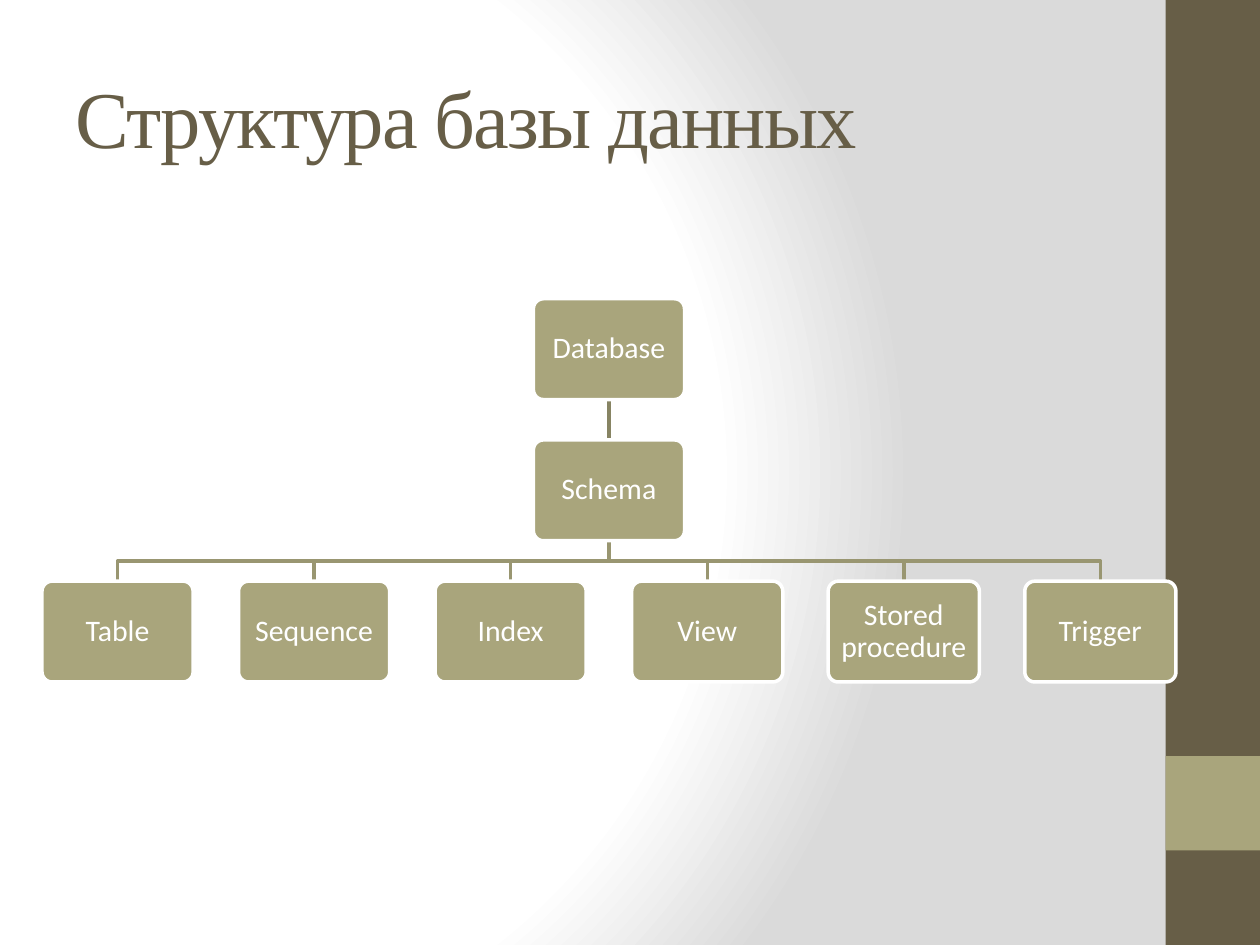
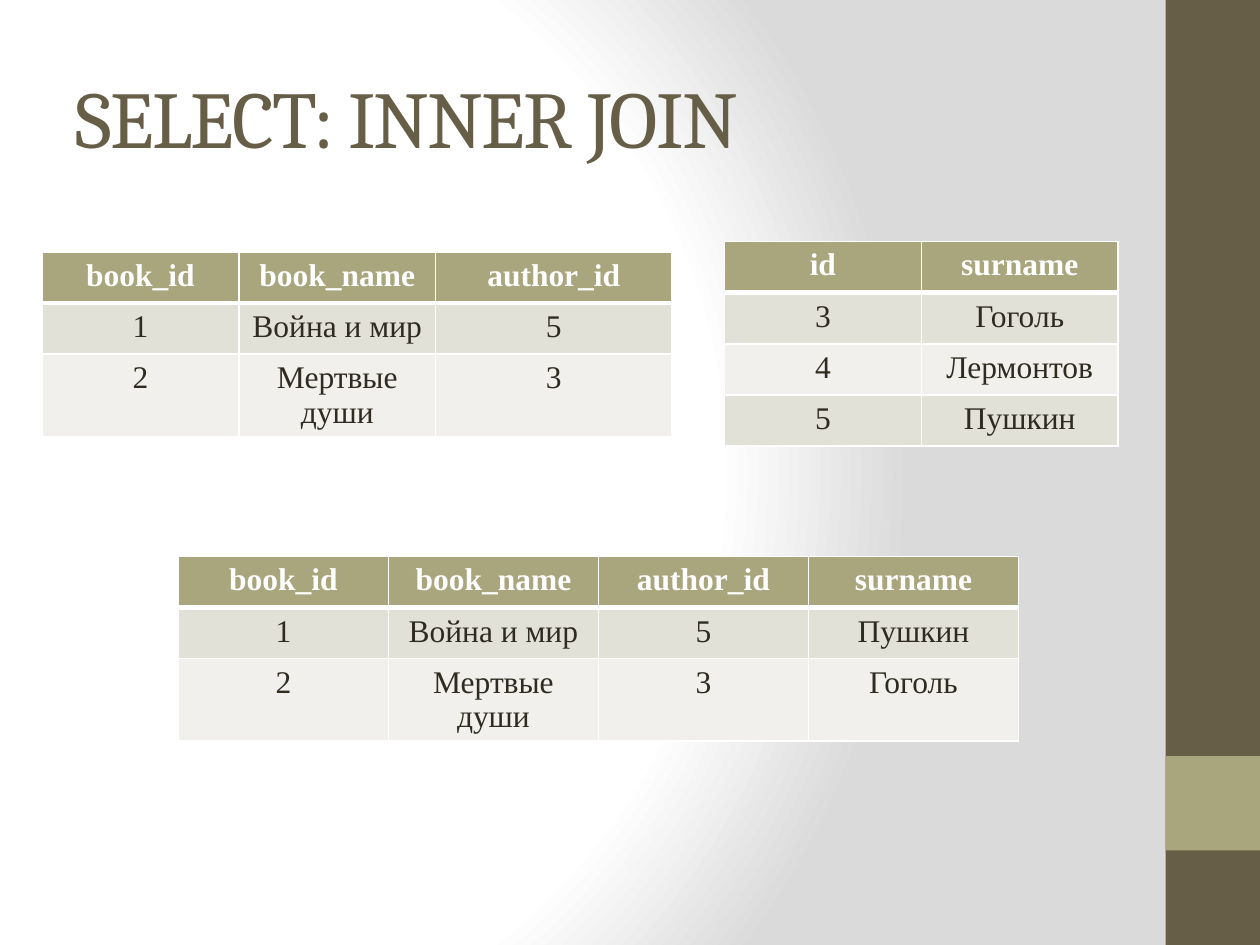
from lxml.etree import SubElement
from pptx import Presentation
from pptx.dml.color import RGBColor
from pptx.enum.shapes import MSO_CONNECTOR, MSO_SHAPE
from pptx.enum.text import MSO_ANCHOR, PP_ALIGN
from pptx.oxml import parse_xml
from pptx.oxml.ns import nsdecls, qn
from pptx.util import Inches, Pt

BROWN = RGBColor(0x67, 0x5E, 0x47)
OLIVE = RGBColor(0xA9, 0xA5, 0x7C)
TRUNK = RGBColor(0x87, 0x84, 0x63)
BRANCH = RGBColor(0x99, 0x96, 0x71)
WHITE = RGBColor(0xFF, 0xFF, 0xFF)
GREY = RGBColor(0xDA, 0xDA, 0xDA)
INK = RGBColor(0x2F, 0x2B, 0x20)
STRIPES = RGBColor(0xE2, 0xE1, 0xD7), RGBColor(0xF1, 0xF0, 0xEC)
SERIF = "Times New Roman"
COLUMNS, ROWS = 120, 90


def grid(*cells):
    """Turn grid columns and rows into lengths on the slide."""
    units = (prs.slide_width / COLUMNS, prs.slide_height / ROWS)
    return [round(n * units[i % 2]) for i, n in enumerate(cells)]


def style(p, font, size, color, align, bold=False):
    """Format a whole paragraph."""
    p.alignment = align
    p.font.name, p.font.size, p.font.bold = font, Pt(size), bold
    p.font.color.rgb = color


def set_background(master):
    """Give every slide the white to grey circular gradient."""
    master.background.fill.gradient()
    old = master.element.find(".//" + qn("a:gradFill"))
    stops = "".join(
        f'<a:gs pos="{pos}000"><a:srgbClr val="{color}"/></a:gs>'
        for pos, color in ((0, WHITE), (75, WHITE), (100, GREY)))
    old.getparent().replace(old, parse_xml(
        f'<a:gradFill {nsdecls("a")} rotWithShape="1"><a:gsLst>{stops}</a:gsLst>'
        '<a:path path="circle"><a:fillToRect l="20000" t="50000" r="100000" b="50000"/>'
        '</a:path></a:gradFill>'))


def add_slide(title, font):
    """Add a slide with the side bands and its title."""
    s = prs.slides.add_slide(prs.slide_layouts[5])
    for box, color in (((111, 0, 9, 90), BROWN), ((111, 72, 9, 9), OLIVE)):
        band = s.shapes.add_shape(MSO_SHAPE.RECTANGLE, *grid(*box))
        band.shadow.inherit = False
        band.fill.solid()
        band.fill.fore_color.rgb = color
        band.line.fill.background()
    sp = s.shapes.title
    sp.left, sp.top, sp.width, sp.height = grid(6, 3.6, 100, 15)
    tf = sp.text_frame
    tf.text = title
    tf.vertical_anchor = MSO_ANCHOR.MIDDLE
    p = tf.paragraphs[0]
    style(p, font, 46, BROWN, PP_ALIGN.LEFT)
    p.runs[0]._r.get_or_add_rPr().set("spc", "-100")
    return s


def add_node(s, label, x, y, w, h):
    """Add one rounded box of the hierarchy."""
    sp = s.shapes.add_shape(MSO_SHAPE.ROUNDED_RECTANGLE, x, y, w, h)
    sp.adjustments[0] = 0.1
    sp.shadow.inherit = False
    sp.fill.solid()
    sp.fill.fore_color.rgb = OLIVE
    sp.line.color.rgb, sp.line.width = WHITE, Pt(2)
    tf = sp.text_frame
    tf.word_wrap = True
    tf.vertical_anchor = MSO_ANCHOR.MIDDLE
    tf.margin_left = tf.margin_right = tf.margin_top = tf.margin_bottom = Inches(0.05)
    tf.text = label
    p = tf.paragraphs[0]
    p.line_spacing = 0.9
    style(p, "Calibri", 17, WHITE, PP_ALIGN.CENTER)


def add_hierarchy(s, box, parents, children):
    """Stack the parents over a row of children, with lines between them."""
    left, top, width, height = grid(*box)
    w = round(width / (1 + 1.3 * (len(children) - 1)))
    h = round(height / (1 + 1.4 * len(parents)))
    middle = left + width // 2
    tops = [top + round(1.4 * h * i) for i in range(len(parents) + 1)]
    lefts = [left + round(1.3 * w * i) for i in range(len(children))]
    for upper, lower in zip(tops, tops[1:-1]):
        line = s.shapes.add_connector(MSO_CONNECTOR.STRAIGHT, middle, upper + h, middle, lower)
        line.line.color.rgb, line.line.width = TRUNK, Pt(2)
        SubElement(line._element.spPr, qn("a:effectLst"))
    start, end = tops[-2] + h, tops[-1]
    bend = (start + end) // 2
    for x in lefts:
        center = x + w // 2
        outline = s.shapes.build_freeform(middle, start)
        outline.add_line_segments([(middle, bend), (center, bend), (center, end)], close=False)
        branch = outline.convert_to_shape()
        branch.shadow.inherit = False
        branch.fill.background()
        branch.line.color.rgb, branch.line.width = BRANCH, Pt(2)
    for label, y in zip(parents, tops):
        add_node(s, label, middle - w // 2, y, w, h)
    for label, x in zip(children, lefts):
        add_node(s, label, x, end, w, h)


def set_borders(cell, row):
    """Draw white cell borders, thick under the header."""
    widths = {"L": 1, "R": 1, "T": 3 if row == 1 else 1, "B": 3 if row == 0 else 1}
    tcPr = cell._tc.get_or_add_tcPr()
    for i, (side, width) in enumerate(widths.items()):
        tcPr.insert(i, parse_xml(
            f'<a:ln{side} {nsdecls("a")} w="{Pt(width)}"><a:solidFill>'
            f'<a:srgbClr val="{WHITE}"/></a:solidFill></a:ln{side}>'))


def add_records(s, box, shares, records):
    """Add a striped table whose columns follow the given shares."""
    x, y, w, h = grid(*box)
    table = s.shapes.add_table(len(records), len(shares), x, y, w, h).table
    for column, share in zip(table.columns, shares):
        column.width = round(w * share / sum(shares))
    for i, record in enumerate(records):
        for j, value in enumerate(record):
            cell = table.cell(i, j)
            cell.text = value
            cell.fill.solid()
            cell.fill.fore_color.rgb = STRIPES[(i - 1) % 2] if i else OLIVE
            style(cell.text_frame.paragraphs[0], SERIF, 18, INK if i else WHITE,
                  PP_ALIGN.CENTER, bold=i == 0)
            set_borders(cell, i)


prs = Presentation()
prs.slide_width, prs.slide_height = Inches(10), Inches(7.5)
set_background(prs.slide_master)

s = add_slide("Структура базы данных", SERIF)
add_hierarchy(s, (4, 28.45, 108, 36.5), ["Database", "Schema"],
              ["Table", "Sequence", "Index", "View", "Stored procedure", "Trigger"])

s = add_slide("SELECT: INNER JOIN", "Cambria")
books = [("book_id", "book_name", "author_id"),
         ("1", "Война и мир", "5"),
         ("2", "Мертвые души", "3")]
authors = [("id", "surname"), ("3", "Гоголь"), ("4", "Лермонтов"), ("5", "Пушкин")]
surnames = dict(authors, author_id="surname")
joined = [book + (surnames[book[2]],) for book in books]
add_records(s, (4, 24, 60, 14.6), (5, 5, 6), books)
add_records(s, (69, 23, 37.5, 19.5), (1, 1), authors)
add_records(s, (17, 53, 80, 14.6), (1, 1, 1, 1), joined)

prs.save("out.pptx")
